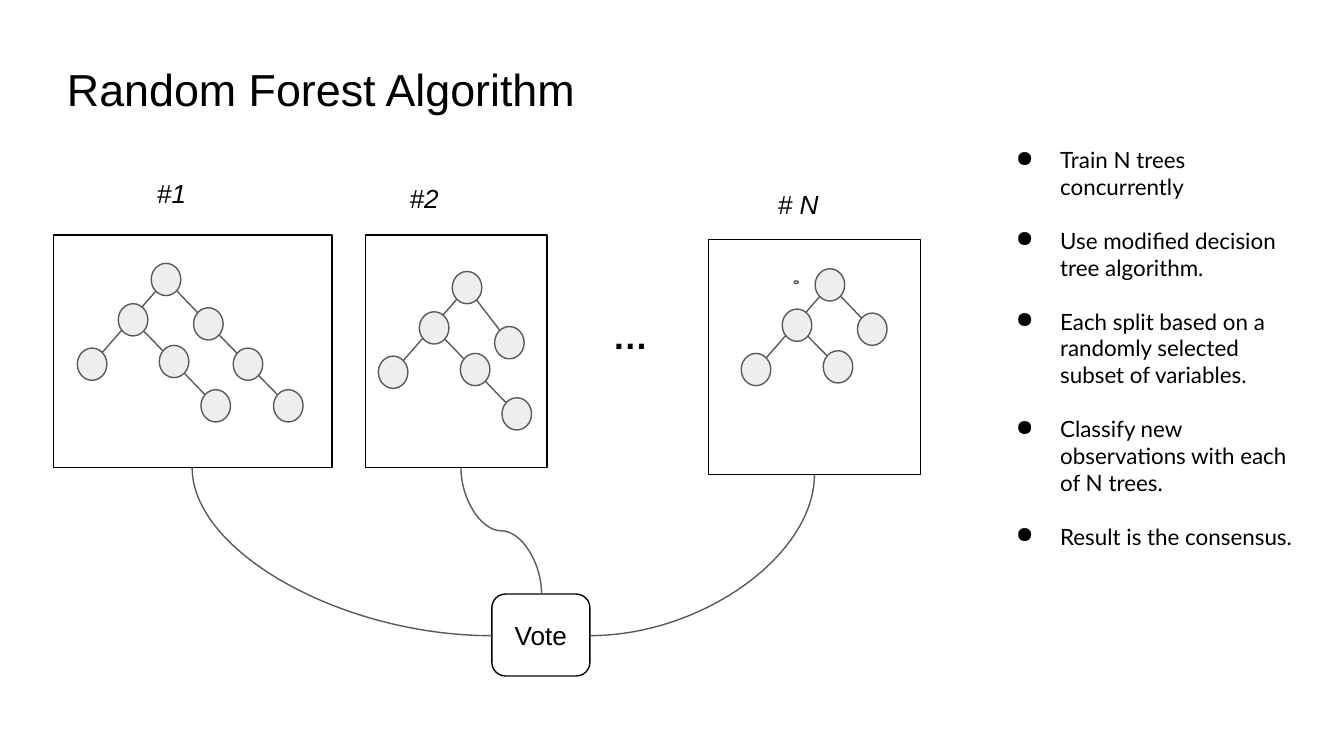
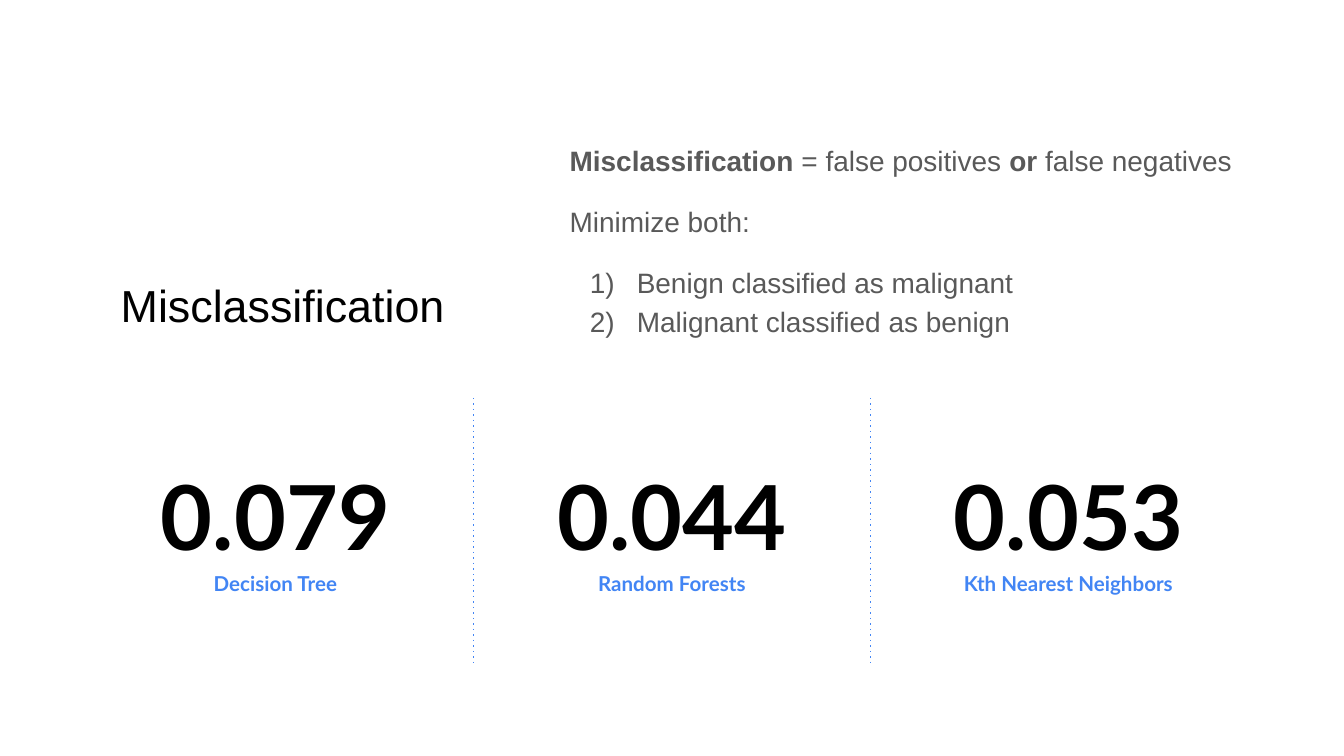
import lxml.etree
import pptx
import pptx.dml.color
import pptx.enum.dml
import pptx.enum.shapes
import pptx.enum.text
import pptx.oxml.ns
import pptx.util

Pt = pptx.util.Pt
RGB = pptx.dml.color.RGBColor
Shape = pptx.enum.shapes.MSO_SHAPE
Link = pptx.enum.shapes.MSO_CONNECTOR
Align = pptx.enum.text.PP_ALIGN
Anchor = pptx.enum.text.MSO_ANCHOR
qn = pptx.oxml.ns.qn

BLACK = RGB(0x00, 0x00, 0x00)
WHITE = RGB(0xFF, 0xFF, 0xFF)
GREY = RGB(0x59, 0x59, 0x59)
PALE = RGB(0xEE, 0xEE, 0xEE)
BLUE = RGB(0x42, 0x85, 0xF4)

# The grid: 100 columns by 56.25 rows of square cells.
WIDTH = pptx.util.Inches(10)
HEIGHT = pptx.util.Inches(5.625)
COLUMNS, ROWS = 100, 56.25
NODE_WIDTH, NODE_HEIGHT = 2.2, 2.4

FONTS = {
    "title": ({"name": "Arial", "size": Pt(24)}, BLACK),
    "label": ({"name": "Arial", "size": Pt(14), "italic": True}, BLACK),
    "vote": ({"name": "Arial", "size": Pt(14)}, BLACK),
    "dots": ({"name": "Arial", "size": Pt(19), "bold": True}, BLACK),
    "bullet": ({"name": "Lato", "size": Pt(12)}, BLACK),
    "body": ({"name": "Arial", "size": Pt(15)}, GREY),
    "strong": ({"name": "Arial", "size": Pt(15), "bold": True}, GREY),
    "score": ({"name": "Lato", "size": Pt(48), "bold": True}, BLACK),
    "method": ({"name": "Lato", "size": Pt(11), "bold": True}, BLUE),
}

# Node places relative to the root of a tree.
NODES = {
    "root": (0, 0), "left": (-2.45, 3), "leaf": (-5.5, 6.3),
    "middle": (0.6, 6.1), "low": (3.7, 9.4),
    "right": (3.15, 3.3), "right low": (3.15, 4.1),
    "far": (6.1, 6.3), "farthest": (9.1, 9.4),
}


class Board:
    def __init__(self):
        self.deck = pptx.Presentation()
        self.deck.slide_width, self.deck.slide_height = WIDTH, HEIGHT
        self.page = None

    def add_page(self):
        self.page = self.deck.slides.add_slide(self.deck.slide_layouts[6])
        self.page.background.fill.solid()
        self.page.background.fill.fore_color.rgb = WHITE

    def x(self, columns):
        return round(WIDTH * columns / COLUMNS)

    def y(self, rows):
        return round(HEIGHT * rows / ROWS)

    def area(self, left, top, width, height):
        return self.x(left), self.y(top), self.x(width), self.y(height)

    def paragraph(self, para, spans, marker=None, indent=0, **layout):
        """Fill para with (text, style) spans; marker is a bullet XML tag and its attributes."""
        for name, value in layout.items():
            setattr(para, name, value)
        for text, style in spans:
            span = para.add_run()
            span.text = text
            values, color = FONTS[style]
            for name, value in values.items():
                setattr(span.font, name, value)
            span.font.color.rgb = color
        if marker:
            tag, attributes = marker
            properties = para._p.get_or_add_pPr()
            properties.set("marL", str(self.x(5)))
            properties.set("indent", str(self.x(indent)))
            bullet_color = lxml.etree.SubElement(properties, qn("a:buClr"))
            lxml.etree.SubElement(bullet_color, qn("a:srgbClr"), val=str(color))
            lxml.etree.SubElement(properties, qn(tag), **attributes)

    def frame(self, box, anchor):
        frame = box.text_frame
        inset = self.x(1)
        for name, value in {
            "word_wrap": True, "vertical_anchor": anchor,
            "margin_left": inset, "margin_right": inset,
            "margin_top": inset, "margin_bottom": inset,
        }.items():
            setattr(frame, name, value)
        return frame

    def text(self, area, paragraphs, anchor=Anchor.TOP):
        """paragraphs holds dicts of arguments for paragraph()."""
        box = self.page.shapes.add_textbox(*self.area(*area))
        frame = self.frame(box, anchor)
        for number, values in enumerate(paragraphs):
            para = frame.add_paragraph() if number else frame.paragraphs[0]
            self.paragraph(para, **values)

    def line_of_text(self, area, text, style, anchor=Anchor.TOP, **layout):
        self.text(area, [{"spans": [(text, style)], **layout}], anchor)

    def shape(self, kind, area, fill=WHITE, line=BLACK):
        box = self.page.shapes.add_shape(kind, *self.area(*area))
        box.shadow.inherit = False
        box.fill.solid()
        box.fill.fore_color.rgb = fill
        box.line.color.rgb = line
        box.line.width = Pt(0.75)
        return box

    def node(self, x, y, width=NODE_WIDTH, height=NODE_HEIGHT):
        """Draw an ellipse centred on a grid point."""
        area = (x - width / 2, y - height / 2, width, height)
        self.shape(Shape.OVAL, area, PALE, GREY)

    def line(self, start, end, color=GREY, kind=Link.STRAIGHT, dash=None):
        line = self.page.shapes.add_connector(
            kind, self.x(start[0]), self.y(start[1]), self.x(end[0]), self.y(end[1]))
        line.line.color.rgb = color
        line.line.width = Pt(0.75)
        if dash:
            line.line.dash_style = pptx.enum.dml.MSO_LINE.ROUND_DOT
            next(line.element.iter(qn("a:prstDash"))).set("val", dash)
        lxml.etree.SubElement(line.element.spPr, qn("a:effectLst"))
        return line

    def curve(self, start, end, preset):
        """Draw a curve that leaves start downwards: a turned box with its sides swapped."""
        across, down = abs(end[0] - start[0]), end[1] - start[1]
        left = (start[0] + end[0] - down) / 2
        top = (start[1] + end[1] - across) / 2
        link = self.line((left, top), (left + down, top + across), kind=Link.CURVE)
        transform = next(link.element.iter(qn("a:xfrm")))
        rightward = end[0] > start[0]
        transform.set("rot", str((270 if rightward else 90) * 60000))
        if rightward:
            transform.set("flipH", "1")
        next(link.element.iter(qn("a:prstGeom"))).set("prst", preset)

    def tree(self, root, branches):
        """Draw each branch as a line from its first to its last node, then all nodes."""
        places = {name: (root[0] + dx, root[1] + dy) for name, (dx, dy) in NODES.items()}
        for branch in branches:
            self.line(places[branch[0]], places[branch[-1]])
        for name in dict.fromkeys(name for branch in branches for name in branch):
            self.node(*places[name])


def build_forest(board):
    board.add_page()
    left = ("root", "left", "leaf")
    deep = ("left", "middle", "low")
    trees = [
        ("#1", (10.7, 12.2), (4, 17.5, 20.7, 17.3), (12.35, 20.8),
         [left, deep, ("root", "right"), ("right", "far", "farthest")]),
        ("#2", (29.5, 12.6), (27.2, 17.5, 13.5, 17.3), (34.75, 21.4),
         [left, deep, ("root", "right low")]),
        ("# N", (56.9, 13), (52.7, 17.8, 15.8, 17.5), (61.75, 21.2),
         [left, ("left", "middle"), ("root", "right")]),
    ]
    for label, corner, panel, root, branches in trees:
        board.shape(Shape.RECTANGLE, panel)
        board.tree(root, branches)
        board.line_of_text((*corner, 7.3, 4.4), label, "label")
    board.node(59.25, 21, 0.3, 0.2)
    board.line_of_text((44.6, 22.4, 8.4, 5.2), "…", "dots")

    vote = board.shape(Shape.ROUNDED_RECTANGLE, (36.6, 44.2, 7.3, 6.1))
    para = board.frame(vote, Anchor.MIDDLE).paragraphs[0]
    board.paragraph(para, [("Vote", "vote")], alignment=Align.CENTER)
    board.curve((14.3, 34.8), (36.6, 47.3), "curvedConnector2")
    board.curve((34.3, 34.8), (40.3, 44.2), "curvedConnector3")
    board.curve((60.6, 35.3), (43.9, 47.3), "curvedConnector2")

    points = [
        "Train N trees concurrently",
        "Use modified decision tree algorithm.",
        "Each split based on a randomly selected subset of variables.",
        "Classify new observations with each of N trees.",
        "Result is the consensus.",
    ]
    board.text((72.9, 9.9, 24.6, 40.4), [
        {"spans": [(point, "bullet")], "marker": ("a:buChar", {"char": "●"}),
         "indent": -3.3, "space_after": Pt(14.4)} for point in points])
    board.line_of_text((4, 3.6, 52.7, 6.1), "Random Forest Algorithm", "title")


def build_scores(board):
    board.add_page()
    board.line_of_text((8, 14.4, 30.6, 11.3), "Misclassification", "title", Anchor.BOTTOM)

    step = 29.5
    scores = [("0.079", "Decision Tree"), ("0.044", "Random Forests"),
              ("0.053", "Kth Nearest Neighbors")]
    layout = {"alignment": Align.CENTER, "line_spacing": 1.15, "space_after": Pt(16)}
    for number, (score, method) in enumerate(scores):
        shift = number * step
        board.line_of_text((7.9 + shift, 32.1, 25.2, 10.4), score, "score", **layout)
        board.line_of_text((9.2 + shift, 41.2, 22.6, 8.1), method, "method", **layout)
        if number:
            x = 5.75 + shift
            board.line((x, 29.6), (x, 49.6), BLUE, dash="dot")

    numbered = {"marker": ("a:buAutoNum", {"type": "arabicParenR"}),
                "indent": -3.5, "line_spacing": 1.15}
    board.text((41.4, 9.3, 54.4, 17.5), [
        {"spans": [("Misclassification ", "strong"), ("= false positives ", "body"),
                   ("or", "strong"), (" false negatives", "body")], "line_spacing": 1.15},
        {"spans": [("Minimize both:", "body")], "line_spacing": 1.15, "space_before": Pt(12)},
        {"spans": [("Benign classified as malignant", "body")],
         "space_before": Pt(12), **numbered},
        {"spans": [("Malignant classified as benign", "body")], **numbered},
    ])


def main():
    board = Board()
    build_forest(board)
    build_scores(board)
    board.deck.save("out.pptx")


if __name__ == "__main__":
    main()
